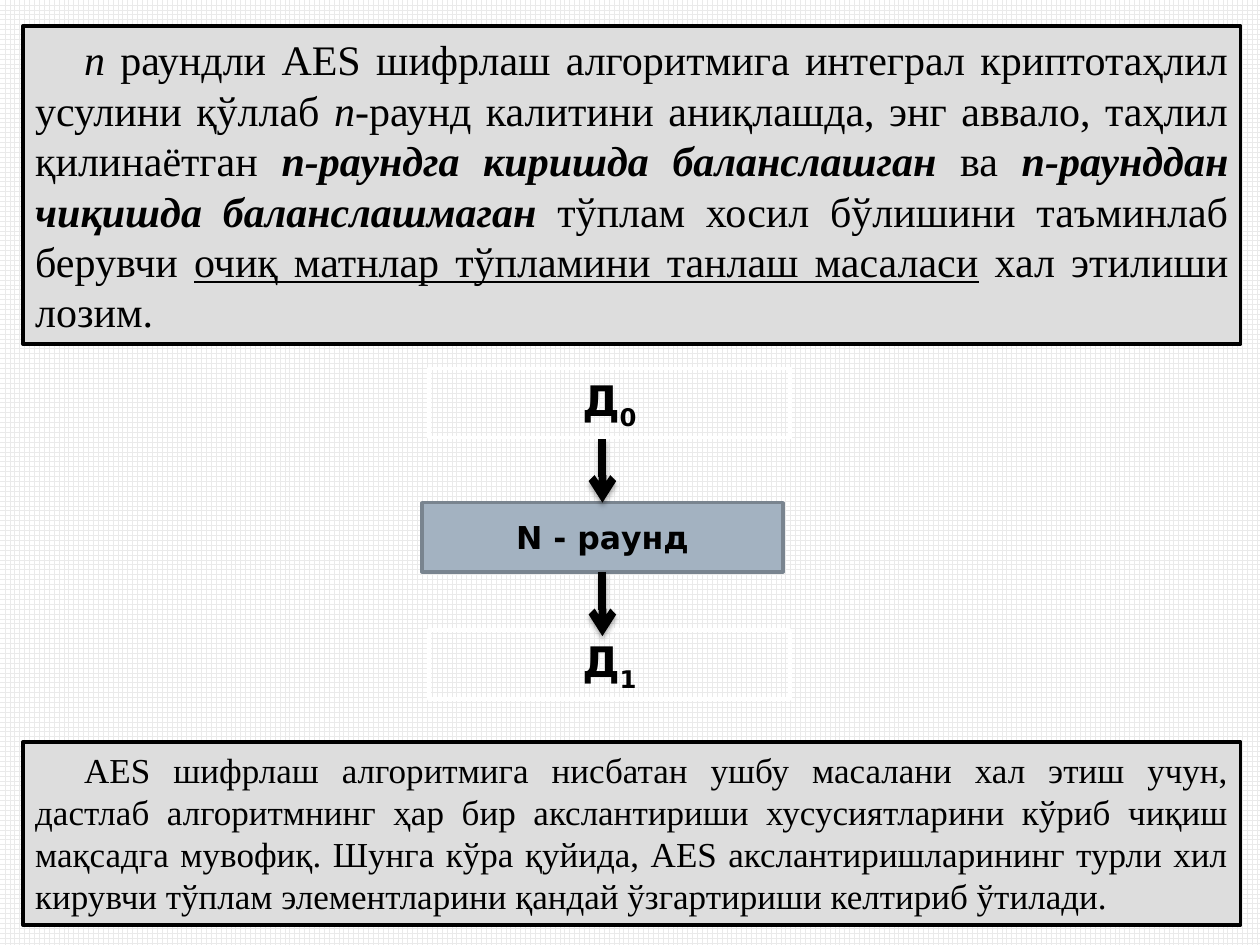
from lxml.etree import SubElement as Sub
from pptx import Presentation
from pptx.dml.color import RGBColor as Rgb
from pptx.enum.dml import MSO_PATTERN as Pat
from pptx.enum.shapes import MSO_CONNECTOR as Conn, MSO_SHAPE as Shape
from pptx.enum.text import MSO_ANCHOR as Anchor, MSO_AUTO_SIZE as Auto, PP_ALIGN as Align
from pptx.oxml.ns import qn
from pptx.util import Pt

HUES = {
    "ink": "000000",
    "white": "FFFFFF",
    "grid": "EAEAEA",
    "panel": "DDDDDD",
    "round": "A3B2C1",
    "edge": "79848F",
}
SERIF = "Times New Roman"
SANS = "DejaVu Sans"

TASK = [
    ("n", "i"),
    (" раундли AES шифрлаш алгоритмига интеграл криптотаҳлил усулини қўллаб ", ""),
    ("n", "i"),
    ("-раунд калитини аниқлашда, энг аввало, таҳлил қилинаётган ", ""),
    ("n-раундга киришда баланслашган", "bi"),
    (" ва ", ""),
    ("n-раунддан чиқишда баланслашмаган ", "bi"),
    ("тўплам хосил бўлишини таъминлаб берувчи ", ""),
    ("очиқ матнлар тўпламини танлаш масаласи", "u"),
    (" хал этилиши лозим. ", ""),
]
PLAN = [(
    "AES шифрлаш алгоритмига нисбатан ушбу масалани хал этиш учун, дастлаб "
    "алгоритмнинг ҳар бир акслантириши хусусиятларини кўриб чиқиш мақсадга "
    "мувофиқ. Шунга кўра қуйида, AES акслантиришларининг турли хил кирувчи "
    "тўплам элементларини қандай ўзгартириши келтириб ўтилади.", "")]


def hue(name):
    return Rgb.from_string(HUES[name])


def add_box(slide, left, top, width, height, fill, edge):
    box = slide.shapes.add_shape(Shape.RECTANGLE, Pt(left), Pt(top), Pt(width), Pt(height))
    box.shadow.inherit = False
    if fill:
        box.fill.solid()
        box.fill.fore_color.rgb = hue(fill)
    else:
        box.fill.background()
    box.line.color.rgb = hue(edge)
    box.line.width = Pt(2)
    box.text_frame.word_wrap = True
    return box


def add_runs(para, parts, face, size):
    for text, style in parts:
        run = para.add_run()
        run.text = text
        font = run.font
        font.name = face
        font.size = Pt(size)
        font.color.rgb = hue("ink")
        font.bold = "b" in style
        font.italic = "i" in style
        font.underline = "u" in style
        if "s" in style:
            run._r.get_or_add_rPr().set("baseline", "-25000")


def add_panel(slide, top, height, parts, size, anchor):
    box = add_box(slide, 13, top, 696, height, "panel", "ink")
    frame = box.text_frame
    frame.auto_size = Auto.SHAPE_TO_FIT_TEXT
    frame.vertical_anchor = anchor
    para = frame.paragraphs[0]
    para.alignment = Align.JUSTIFY
    props = para._p.get_or_add_pPr()
    props.set("marL", "0")
    props.set("indent", str(Pt(28)))
    add_runs(para, parts, SERIF, size)


def add_node(slide, left, top, parts, size, fill, edge):
    box = add_box(slide, left, top, 206.5, 39.5, fill, edge)
    box.text_frame.vertical_anchor = Anchor.MIDDLE
    para = box.text_frame.paragraphs[0]
    para.alignment = Align.CENTER
    add_runs(para, parts, SANS, size)
    return box


def add_arrow(slide, x, top, end):
    arrow = slide.shapes.add_connector(Conn.STRAIGHT, Pt(x), Pt(top), Pt(x), Pt(end))
    arrow.line.color.rgb = hue("ink")
    arrow.line.width = Pt(4.5)
    Sub(arrow.line._get_or_add_ln(), qn("a:tailEnd"), type="arrow")
    glow = Sub(arrow._element.spPr, qn("a:effectLst"))
    shade = Sub(glow, qn("a:outerShdw"), blurRad=str(Pt(3.1)), dist=str(Pt(1.8)),
                dir="5400000", rotWithShape="0")
    tint = Sub(shade, qn("a:srgbClr"), val=HUES["ink"])
    Sub(tint, qn("a:alpha"), val="35000")
    return arrow


def main():
    deck = Presentation()
    deck.slide_width, deck.slide_height = Pt(720), Pt(540)
    slide = deck.slides.add_slide(deck.slide_layouts[6])
    back = slide.background.fill
    back.patterned()
    back.pattern = Pat.LARGE_GRID
    back.fore_color.rgb = hue("grid")
    back.back_color.rgb = hue("white")

    add_panel(slide, 15, 181.5, TASK, 24, Anchor.MIDDLE)
    add_panel(slide, 424, 104.5, PLAN, 20, Anchor.TOP)

    stage = add_node(slide, 241, 287.25, [("N - раунд", "b")], 18, "round", "edge")
    mid = 344.25
    add_arrow(slide, mid, 250.5, 287.25).end_connect(stage, 0)
    for mark, top in (("0", 210.5), ("1", 360)):
        add_node(slide, 245, top, [("Д", "b"), (mark, "bs")], 24, None, "white")
    add_arrow(slide, mid, 326.75, 363.5).begin_connect(stage, 2)

    deck.save("out.pptx")


if __name__ == "__main__":
    main()
